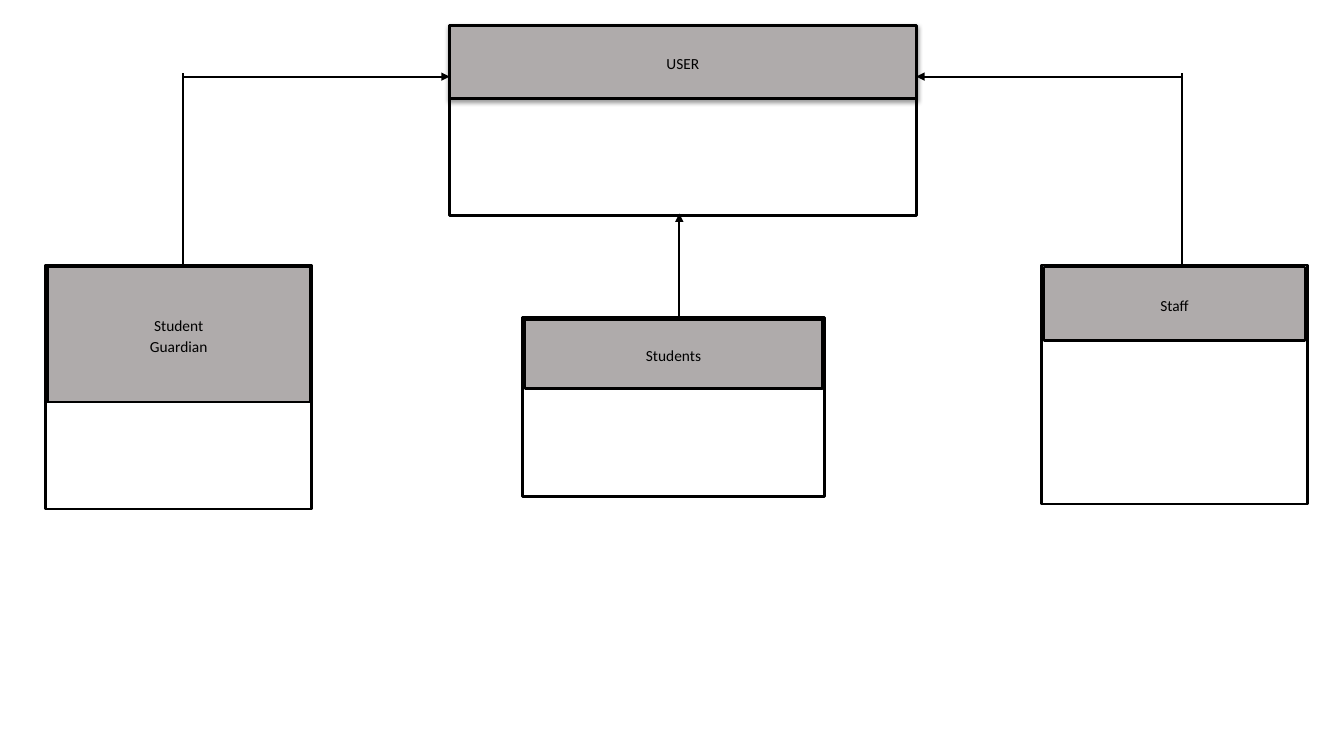
from dataclasses import dataclass
from typing import NamedTuple

from pptx import Presentation
from pptx import util as u
from pptx.dml.color import RGBColor
from pptx.enum import shapes, text
from pptx.oxml.ns import qn
from pptx.oxml.xmlchemy import OxmlElement
from pptx.shapes.autoshape import Shape
from pptx.slide import Slide


@dataclass(frozen=True)
class Theme:
    ink: RGBColor = RGBColor(0x00, 0x00, 0x00)
    header: RGBColor = RGBColor(0xAF, 0xAB, 0xAB)
    body: RGBColor = RGBColor(0xFF, 0xFF, 0xFF)
    font: str = "Calibri"
    label_size: float = 11
    line_spacing: float = 1.15
    box_line: float = 2
    raised_line: float = 2.25
    link_line: float = 1.5


class Rect(NamedTuple):
    """Left, top, width and height in centimetres."""
    left: float
    top: float
    width: float
    height: float


class Point(NamedTuple):
    x: float
    y: float


@dataclass(frozen=True)
class ClassBox:
    labels: tuple[str, ...]
    header: Rect
    body: Rect
    space_after: float = 10
    raised: bool = False


@dataclass(frozen=True)
class Link:
    start: Point
    end: Point
    arrow: bool = True


THEME = Theme()

# Classes of the diagram
CLASSES = [
    ClassBox(("Students",), Rect(13.23, 8.05, 7.49, 1.75), Rect(13.16, 8, 7.62, 4.52)),
    ClassBox(("Student", "Guardian"), Rect(1.19, 6.73, 6.63, 3.4),
             Rect(1.14, 6.68, 6.71, 6.15), space_after=0),
    ClassBox(("Staff",), Rect(26.31, 6.73, 6.58, 1.85), Rect(26.24, 6.68, 6.71, 6.02)),
    ClassBox(("USER",), Rect(11.33, 0.64, 11.76, 1.85), Rect(11.33, 2.49, 11.76, 2.95),
             raised=True),
]

# Inheritance links: each side link rises, then turns towards USER
LINKS = [
    Link(Point(29.79, 6.68), Point(29.79, 1.85), arrow=False),
    Link(Point(29.79, 1.93), Point(23.09, 1.93)),
    Link(Point(4.62, 6.68), Point(4.62, 1.85), arrow=False),
    Link(Point(4.62, 1.93), Point(11.33, 1.93)),
    Link(Point(17.12, 8), Point(17.12, 5.38)),
]


def add_box(slide: Slide, area: Rect, fill: RGBColor, line_width: float) -> Shape:
    box = slide.shapes.add_shape(
        shapes.MSO_SHAPE.RECTANGLE, *(u.Cm(length) for length in area))
    box.shadow.inherit = False
    box.fill.solid()
    box.fill.fore_color.rgb = fill
    box.line.color.rgb = THEME.ink
    box.line.width = u.Pt(line_width)
    return box


def add_soft_shadow(box: Shape) -> None:
    shadow = OxmlElement("a:outerShdw")
    for name, value in (("blurRad", u.Pt(3.1)), ("dist", u.Pt(1.6)),
                        ("dir", 90 * 60000), ("rotWithShape", 0)):
        shadow.set(name, str(int(value)))
    color = OxmlElement("a:srgbClr")
    color.set("val", str(THEME.ink))
    alpha = OxmlElement("a:alpha")
    alpha.set("val", "38000")
    color.append(alpha)
    shadow.append(color)
    box._element.spPr.find(qn("a:effectLst")).append(shadow)


def add_labels(header: Shape, entry: ClassBox) -> None:
    frame = header.text_frame
    frame.word_wrap = True
    frame.vertical_anchor = text.MSO_ANCHOR.MIDDLE
    frame.text = "\n".join(entry.labels)
    for label in frame.paragraphs:
        label.alignment = text.PP_ALIGN.CENTER
        label.line_spacing = THEME.line_spacing
        label.space_after = u.Pt(entry.space_after)
        label.font.name = THEME.font
        label.font.size = u.Pt(THEME.label_size)
        label.font.color.rgb = THEME.ink


def add_class(slide: Slide, entry: ClassBox) -> None:
    add_box(slide, entry.body, THEME.body, THEME.box_line)
    line_width = THEME.raised_line if entry.raised else THEME.box_line
    header = add_box(slide, entry.header, THEME.header, line_width)
    if entry.raised:
        add_soft_shadow(header)
    add_labels(header, entry)


def add_link(slide: Slide, link: Link) -> None:
    connector = slide.shapes.add_connector(
        shapes.MSO_CONNECTOR.STRAIGHT, *(u.Cm(c) for c in (*link.start, *link.end)))
    connector.line.color.rgb = THEME.ink
    connector.line.width = u.Pt(THEME.link_line)
    if link.arrow:
        tip = OxmlElement("a:tailEnd")
        tip.set("type", "triangle")
        connector.line._get_or_add_ln().append(tip)
    connector._element.spPr.append(OxmlElement("a:effectLst"))


def main() -> None:
    deck = Presentation()
    deck.slide_width, deck.slide_height = u.Cm(33.87), u.Cm(19.05)
    slide = deck.slides.add_slide(deck.slide_layouts.get_by_name("Blank"))
    for entry in CLASSES:
        add_class(slide, entry)
    for link in LINKS:
        add_link(slide, link)
    deck.save("out.pptx")


if __name__ == "__main__":
    main()
